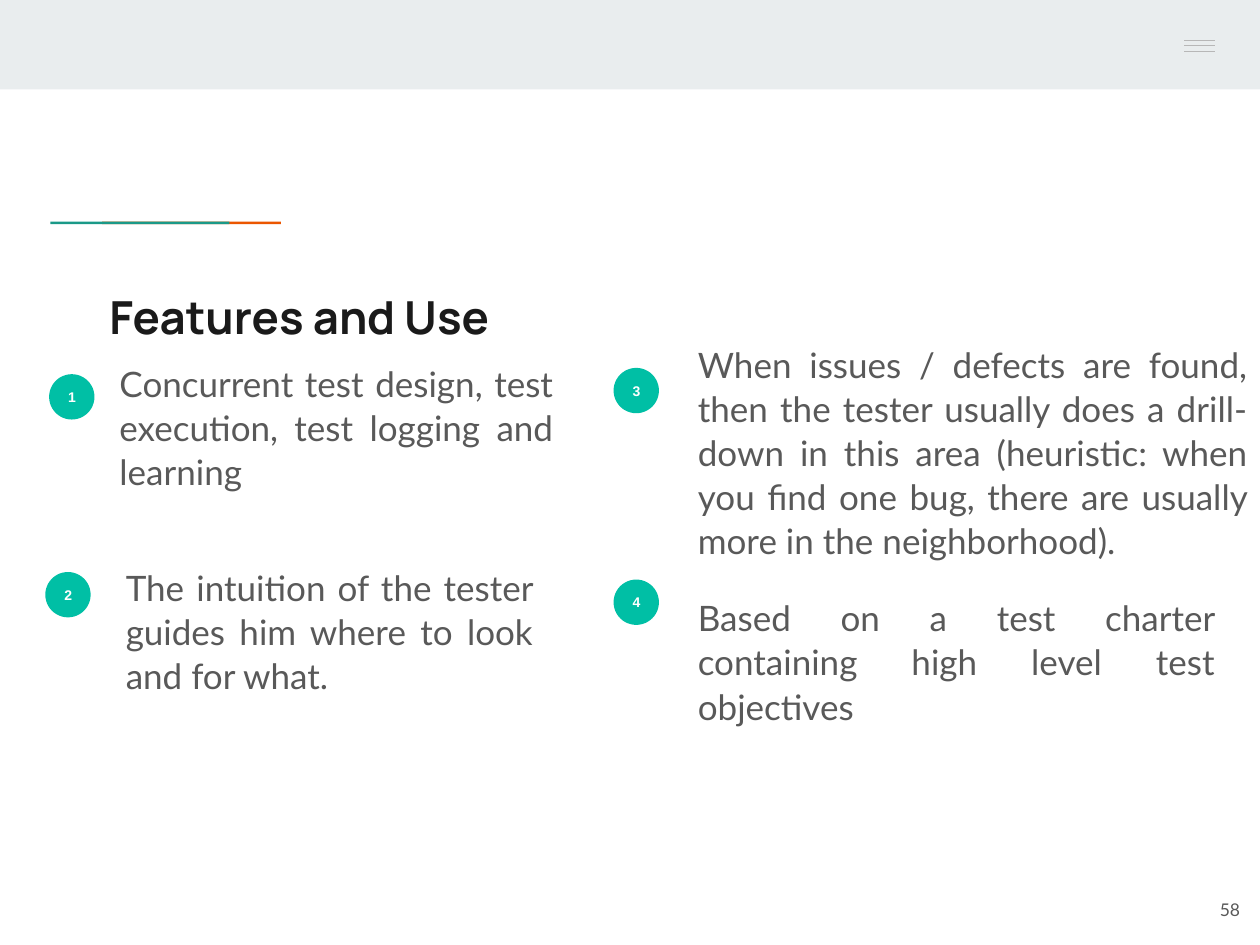
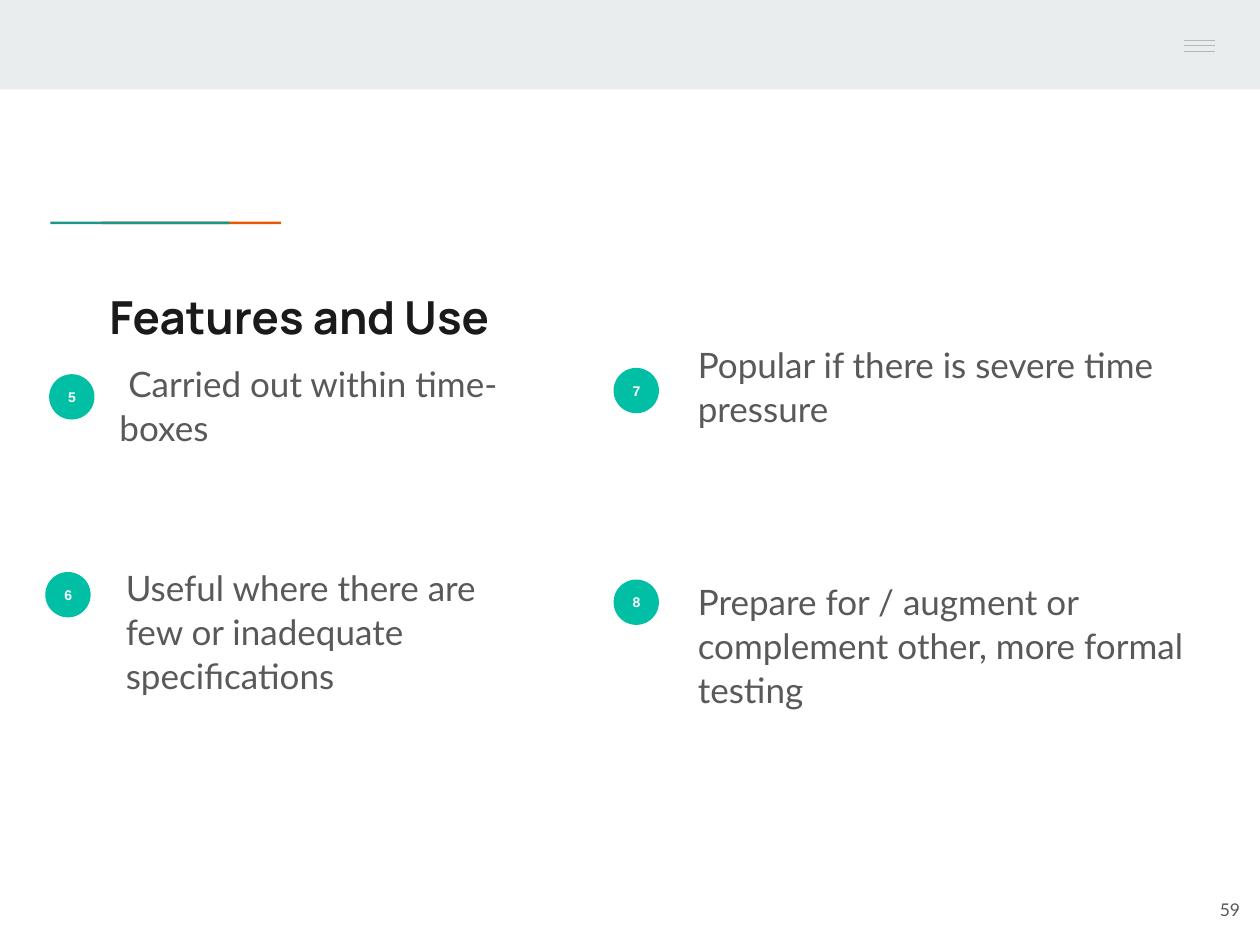
from dataclasses import dataclass

from lxml.etree import SubElement
from pptx import Presentation
from pptx.dml.color import RGBColor
from pptx.enum.shapes import MSO_CONNECTOR as Connector, MSO_SHAPE as Preset
from pptx.enum.text import MSO_ANCHOR as Anchor, PP_ALIGN as Align
from pptx.oxml.ns import qn
from pptx.util import Inches, Pt


@dataclass(frozen=True)
class TextStyle:
    font: str
    size: int
    color: str
    bold: bool = False


@dataclass(frozen=True)
class Theme:
    band: str = "E9EDEE"
    orange: str = "EB5600"
    teal: str = "1A9988"
    badge: str = "00BFA5"
    menu: str = "B7B7B7"
    title: TextStyle = TextStyle("Manrope", 26, "1A1A1A", True)
    body: TextStyle = TextStyle("Lato", 20, "595959")
    number: TextStyle = TextStyle("Arial", 8, "FFFFFF", True)
    page: TextStyle = TextStyle("Lato", 10, "595959")


BADGE_SIZE = 0.36
BADGE_SPOTS = [(0.39, 2.97), (0.36, 4.54), (4.87, 2.92), (4.87, 4.6)]
FEATURE_BOXES = [
    (0.85, 2.76, 3.64, 0.66),
    (0.9, 4.38, 3.43, 0.69),
    (5.44, 2.61, 4.56, 1.15),
]


class FeatureDeck:
    """Build feature slides that share one theme and frame."""

    def __init__(self, theme):
        self.theme = theme
        self.presentation = Presentation()
        self.presentation.slide_width = Inches(10)
        self.presentation.slide_height = Inches(7.5)
        self.slide = None

    def fill_text(self, shape, text, style, align, anchor):
        frame = shape.text_frame
        frame.word_wrap = True
        frame.vertical_anchor = anchor
        frame.margin_left = frame.margin_right = Inches(0.1)
        frame.margin_top = frame.margin_bottom = Inches(0.1)
        paragraph = frame.paragraphs[0]
        paragraph.text = text
        paragraph.alignment = align
        paragraph.font.name = style.font
        paragraph.font.size = Pt(style.size)
        paragraph.font.bold = style.bold
        paragraph.font.color.rgb = RGBColor.from_string(style.color)
        return paragraph

    def text(self, box, text, style, align=Align.LEFT, anchor=Anchor.TOP):
        shape = self.slide.shapes.add_textbox(*map(Inches, box))
        return self.fill_text(shape, text, style, align, anchor)

    def shape(self, preset, box, color):
        shape = self.slide.shapes.add_shape(preset, *map(Inches, box))
        shape.shadow.inherit = False
        shape.fill.solid()
        shape.fill.fore_color.rgb = RGBColor.from_string(color)
        shape.line.fill.background()
        return shape

    def line(self, left, right, top):
        line = self.slide.shapes.add_connector(
            Connector.STRAIGHT, Inches(left), Inches(top), Inches(right), Inches(top))
        line.line.color.rgb = RGBColor.from_string(self.theme.menu)
        line.line.width = Pt(0.75)
        SubElement(line._element.spPr, qn("a:effectLst"))

    def badge(self, spot, number):
        box = (*spot, BADGE_SIZE, BADGE_SIZE)
        circle = self.shape(Preset.OVAL, box, self.theme.badge)
        self.fill_text(circle, str(number), self.theme.number, Align.CENTER, Anchor.MIDDLE)

    def feature(self, box, text, align, indent):
        paragraph = self.text(box, text, self.theme.body, align)
        paragraph.line_spacing = 1.05
        if indent:
            properties = paragraph._p.get_or_add_pPr()
            properties.set("marL", "0")
            properties.set("indent", str(Inches(indent)))

    def frame(self, title, page):
        blank = self.presentation.slide_layouts[6]
        self.slide = self.presentation.slides.add_slide(blank)
        self.shape(Preset.RECTANGLE, (0, 0, 10, 0.71), self.theme.band)
        for left, color in ((0.81, self.theme.orange), (0.4, self.theme.teal)):
            self.shape(Preset.RECTANGLE, (left, 1.76, 1.42, 0.02), color)
        for top in (0.32, 0.36, 0.41):
            self.line(9.4, 9.64, top)
        self.text((0.77, 2.19, 8.41, 0.59), title, self.theme.title)
        self.text((9.34, 6.93, 0.6, 0.57), str(page), self.theme.page,
                  Align.RIGHT, Anchor.MIDDLE)

    def features(self, page, first_number, texts, last_top, align, first_indent=0):
        self.frame("Features and Use", page)
        boxes = [*FEATURE_BOXES, (5.44, last_top, 4.3, 1.15)]
        for index, (spot, box, text) in enumerate(zip(BADGE_SPOTS, boxes, texts)):
            self.badge(spot, first_number + index)
            self.feature(box, text, align, 0 if index else first_indent)


def main():
    deck = FeatureDeck(Theme())
    deck.features(58, 1, [
        "Concurrent test design, test execution, test logging and learning",
        "The intuition of the tester guides him where to look and for what.",
        "When issues / defects are found, then the tester usually does a drill-down "
        "in this area (heuristic: when you find one bug, there are usually more in "
        "the neighborhood).",
        "Based on a test charter containing high level test objectives",
    ], last_top=4.62, align=Align.JUSTIFY)
    deck.features(59, 5, [
        "Carried out within time-boxes",
        "Useful where there are few or inadequate specifications",
        "Popular if there is severe time pressure",
        "Prepare for / augment or complement other, more formal testing",
    ], last_top=4.49, align=Align.LEFT, first_indent=0.07)
    deck.presentation.save("out.pptx")


if __name__ == "__main__":
    main()
